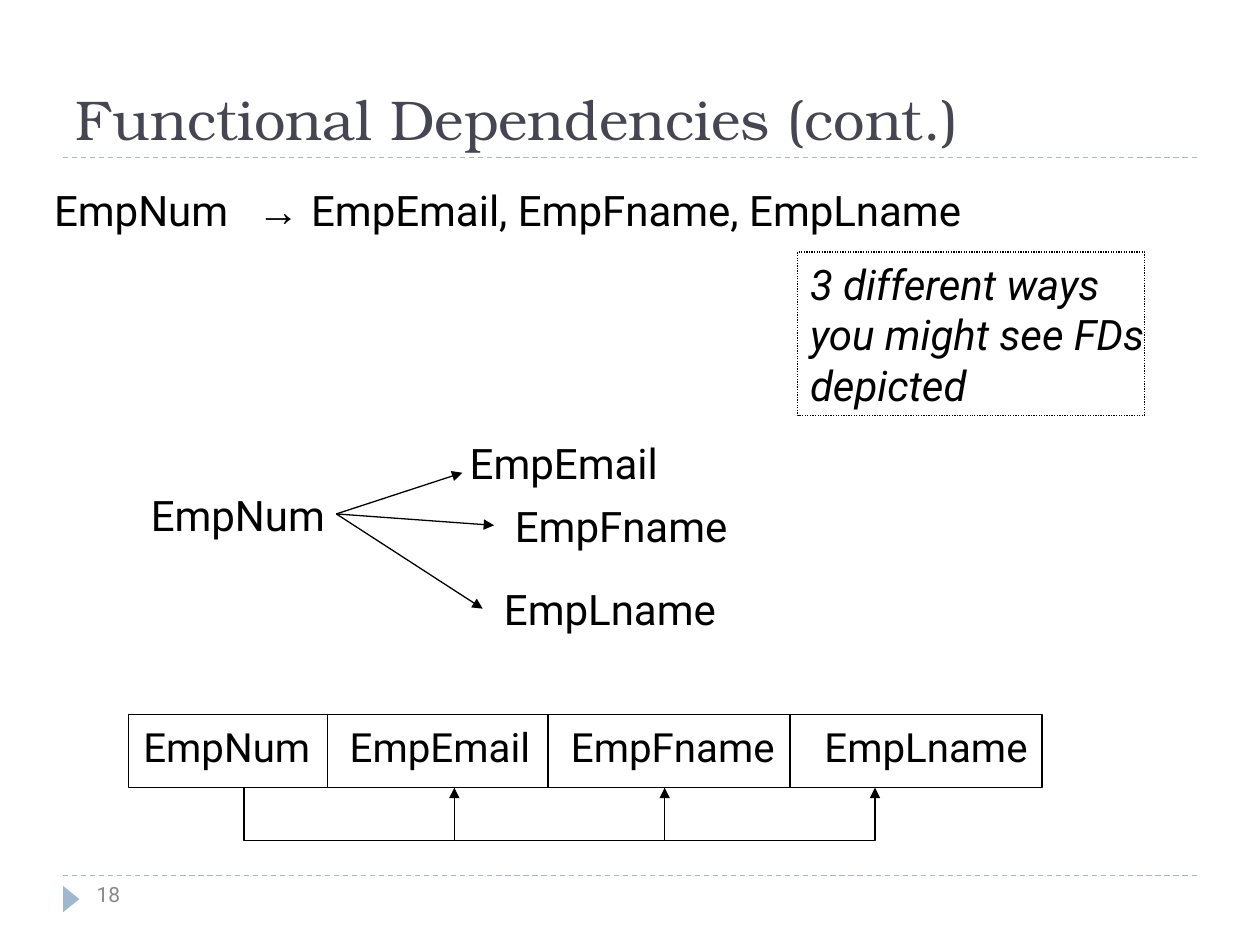
from itertools import accumulate

from pptx import Presentation, util as u
from pptx.dml.color import RGBColor
from pptx.enum import dml, shapes, text
from pptx.oxml.ns import qn
from lxml import etree

BLACK = RGBColor(0x00, 0x00, 0x00)
TITLE_COLOR = RGBColor(0x46, 0x46, 0x53)
ACCENT = RGBColor(0x9F, 0xB8, 0xCD)
GREY = RGBColor(0x89, 0x89, 0x89)
BODY_FONT, TITLE_FONT, ARROW_FONT = "Roboto", "TeX Gyre Bonum", "Arial"


class SlideBuilder:
    """Holds the slide and its style; all lengths are centimetres."""

    def __init__(self, slide, line_width=0.75, size=24):
        self.slide = slide
        self.line_width = u.Pt(line_width)
        self.size = size

    def set_text(self, shape, runs, size=None, color=BLACK, italic=False,
                 inset=(0.25, 0.13), anchor=text.MSO_ANCHOR.TOP, wrap=True, tab=None):
        """Fill the shape with one paragraph of (wording, font) runs."""
        frame = shape.text_frame
        frame.word_wrap = wrap
        frame.auto_size = text.MSO_AUTO_SIZE.NONE
        frame.vertical_anchor = anchor
        frame.margin_left, frame.margin_top = map(u.Cm, inset)
        frame.margin_right, frame.margin_bottom = 0, u.Cm(0.13)
        paragraph = frame.paragraphs[0]
        paragraph.alignment = text.PP_ALIGN.LEFT
        if tab:
            tabs = etree.SubElement(paragraph._p.get_or_add_pPr(), qn("a:tabLst"))
            etree.SubElement(tabs, qn("a:tab"), pos=str(u.Cm(tab)), algn="l")
        for wording, font_name in runs:
            run = paragraph.add_run()
            run.text = wording
            run.font.name = font_name
            run.font.size = u.Pt(size or self.size)
            run.font.italic = italic
            run.font.color.rgb = color

    def stroke(self, shape, color=BLACK, dash=None, arrow=False):
        shape.line.color.rgb = color
        shape.line.width = self.line_width
        if dash:
            shape.line.dash_style = dash
        if arrow:
            outline = shape._element.spPr.find(qn("a:ln"))
            etree.SubElement(outline, qn("a:tailEnd"), type="triangle")

    def title(self, wording, *box):
        shape = self.slide.shapes.title
        shape.left, shape.top, shape.width, shape.height = map(u.Cm, box)
        self.set_text(shape, [(wording, TITLE_FONT)], size=32, color=TITLE_COLOR,
                      anchor=text.MSO_ANCHOR.BOTTOM)

    def label(self, runs, *box, **style):
        self.set_text(self.slide.shapes.add_textbox(*map(u.Cm, box)), runs, **style)

    def line(self, start, end, **style):
        connector = self.slide.shapes.add_connector(
            shapes.MSO_CONNECTOR.STRAIGHT, *map(u.Cm, start + end))
        self.stroke(connector, **style)
        etree.SubElement(connector._element.spPr, qn("a:effectLst"))

    def box(self, wording, *box, dash=None, **style):
        shape = self.slide.shapes.add_shape(
            shapes.MSO_SHAPE.RECTANGLE, *map(u.Cm, box))
        shape.shadow.inherit = False
        shape.fill.background()
        self.stroke(shape, dash=dash)
        self.set_text(shape, [(wording, BODY_FONT)], **style)

    def page_marker(self, *box):
        shape = self.slide.shapes.add_shape(
            shapes.MSO_SHAPE.ISOSCELES_TRIANGLE, *map(u.Cm, box))
        shape.rotation = 90
        shape.shadow.inherit = False
        shape.fill.solid()
        shape.fill.fore_color.rgb = ACCENT
        shape.line.fill.background()

    def bracket(self, left, right, top, bottom):
        """Draw a path down, across and up again, ending in an arrowhead."""
        corners = [(left, bottom), (right, bottom), (right, top)]
        builder = self.slide.shapes.build_freeform(u.Cm(left), u.Cm(top))
        builder.add_line_segments([(u.Cm(x), u.Cm(y)) for x, y in corners], close=False)
        shape = builder.convert_to_shape()
        shape.shadow.inherit = False
        shape.fill.background()
        self.stroke(shape, arrow=True)


def main():
    presentation = Presentation()
    presentation.slide_width, presentation.slide_height = u.Cm(25.4), u.Cm(19.05)
    title_only = presentation.slide_layouts[5]
    builder = SlideBuilder(presentation.slides.add_slide(title_only))

    for y in (17.65, 3.18):
        builder.line((1.27, y), (24.13, y), color=ACCENT, dash=dml.MSO_LINE.DASH)
    builder.page_marker(1.17, 17.96, 0.53, 0.33)
    builder.title("Functional Dependencies (cont.)", 1.27, 0.64, 22.86, 2.54)
    builder.label([("18", BODY_FONT)], 1.7, 17.65, 5.5, 1.02, size=12, color=GREY)

    # Way 1: written on one line
    builder.label([("EmpNum\t", BODY_FONT), ("→ ", ARROW_FONT),
                   ("EmpEmail, EmpFname, EmpLname", BODY_FONT)],
                  0.84, 3.58, 18.9, 2.29, tab=4.1)

    # Way 2: arrows fanning out from the determinant
    builder.label([("EmpNum", BODY_FONT)], 2.79, 9.73, 4.24, 1.27, wrap=False)
    dependents = [("EmpEmail", 9.22, 8.69, (9.32, 9.53)),
                  ("EmpFname", 10.13, 9.96, (9.96, 10.59)),
                  ("EmpLname", 9.91, 11.63, (9.73, 12.27))]
    for name, left, top, arrow_tip in dependents:
        builder.label([(name, BODY_FONT)], left, top, 5, 1.27, wrap=False)
        builder.line((6.78, 10.36), arrow_tip, arrow=True)

    # Way 3: relation row with brackets below it
    row_left, row_top, row_height = 2.59, 14.4, 1.48
    columns = [("EmpNum", 4.01, 0.3), ("EmpEmail", 4.45, 0.45),
               ("EmpFname", 4.88, 0.46), ("EmpLname", 5.08, 0.69)]
    lefts = accumulate((width for _, width, _ in columns), initial=row_left)
    for left, (name, width, indent) in zip(lefts, columns):
        builder.box(name, left, row_top, width, row_height,
                    size=23, inset=(indent, 0.16), wrap=True)
    row_bottom, step = row_top + row_height, 4.24
    for index in range(3):
        left = 4.92 + index * step
        builder.bracket(left, left + step, row_bottom, row_bottom + 1.06)

    builder.box("3 different ways you might see FDs depicted", 16.08, 5.08, 6.99, 3.3,
                dash=dml.MSO_LINE.ROUND_DOT, italic=True)
    presentation.save("out.pptx")


if __name__ == "__main__":
    main()
